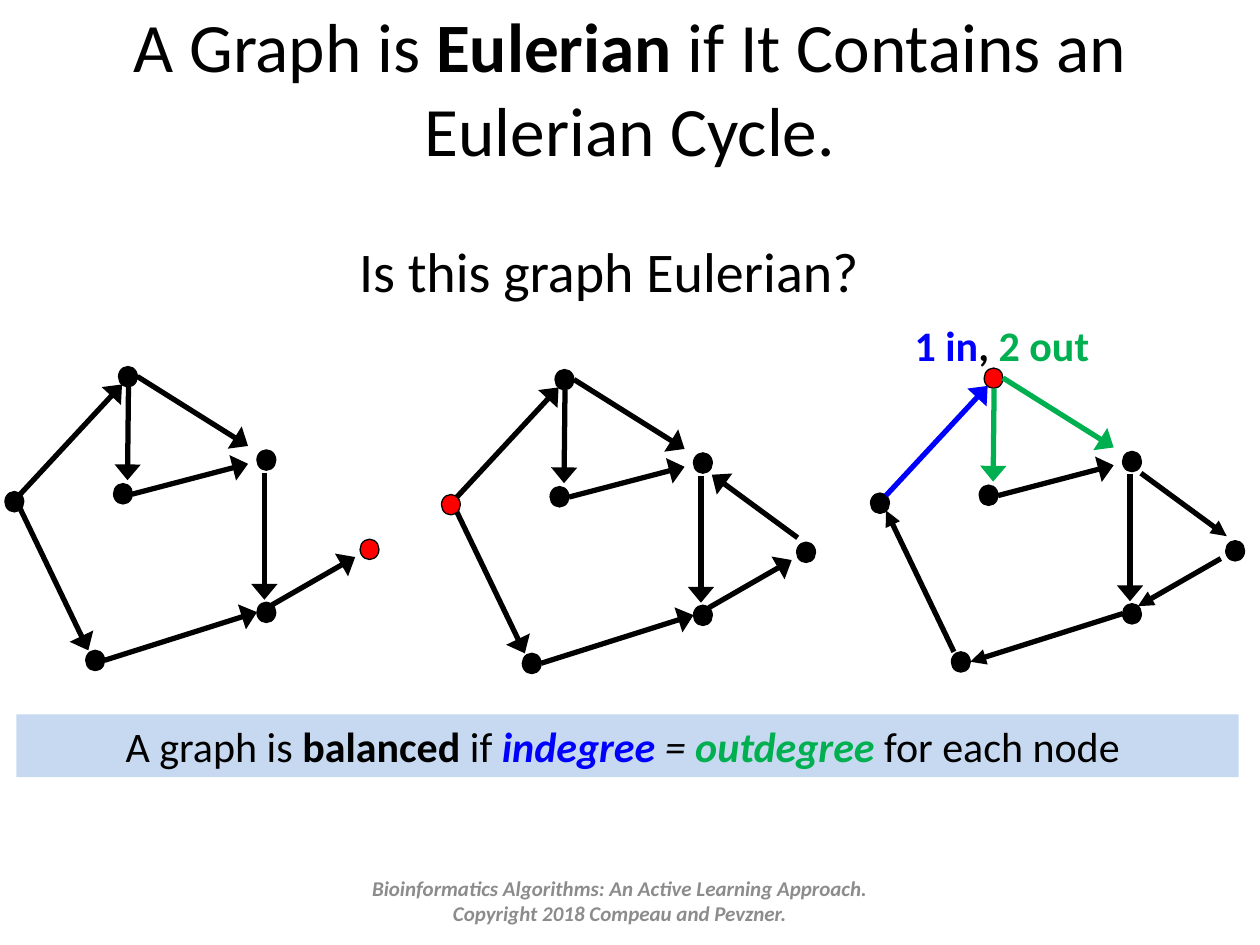
from lxml import etree
from pptx import Presentation
from pptx.dml.color import RGBColor
from pptx.enum import shapes, text
from pptx.oxml.ns import qn
from pptx.util import Cm, Pt

HUE = {"black": "000000", "red": "FF0000", "blue": "0000FF",
       "green": "00B050", "gray": "8C8C8C", "pale": "C6D9F1"}

# Each run: words, colour, style (b = bold, i = italic)
TITLE = [[("A Graph is ", "black", ""), ("Eulerian", "black", "b"),
          (" if It Contains an Eulerian Cycle.", "black", "")]]
ASK = [[("Is this graph Eulerian?", "black", "")]]
COUNT = [[("1 in", "blue", "b"), (", ", "black", "b"), ("2 out", "green", "b")]]
RULE = [[("A graph is ", "black", ""), ("balanced", "black", "b"),
         (" if ", "black", ""), ("indegree ", "blue", "bi"),
         ("= ", "black", "i"), ("outdegree", "green", "bi"),
         (" for each node ", "black", "")]]
CREDIT = [[("Bioinformatics Algorithms: An Active Learning Approach.", "gray", "bi")],
          [("Copyright 2018 Compeau and Pevzner.", "gray", "bi")]]

# The graph that all three drawings share, in cm
NODE_W, NODE_H = 0.38, 0.41
NODES = {"top": (2.39, 7.39), "right": (5.18, 9.07), "far": (7.26, 10.87),
         "low": (5.18, 12.14), "base": (1.73, 13.11), "mid": (2.29, 9.75),
         "left": (0.1, 9.91)}
EDGES = {"left-top": (0.41, 9.96, 2.46, 7.75),
         "top-right": (2.77, 7.59, 5, 8.99),
         "right-low": (5.33, 9.53, 5.33, 12.09),
         "low-far": (5.49, 12.19, 7.16, 11.23),
         "top-mid": (2.59, 7.8, 2.57, 9.68),
         "mid-right": (2.67, 9.96, 5, 9.35),
         "base-low": (2.11, 13.31, 5.18, 12.34),
         "left-base": (0.41, 10.26, 1.78, 13.11),
         "far-right": (7.28, 10.78, 5.55, 9.51)}

GRAPHS = [
    {"shift": (0, 0), "red": "far", "skip": ["far-right"]},
    {"shift": (8.8, 0.06), "red": "left"},
    {"shift": (17.45, 0.03), "red": "top",
     "flip": ["low-far", "base-low", "left-base", "far-right"],
     "tint": {"left-top": "blue", "top-right": "green", "top-mid": "green"}},
]


def rgb(name):
    return RGBColor.from_string(HUE[name])


def write(shape, paras, size, align=text.PP_ALIGN.CENTER,
          anchor=text.MSO_ANCHOR.TOP):
    frame = shape.text_frame
    frame.word_wrap = True
    frame.auto_size = text.MSO_AUTO_SIZE.NONE
    frame.vertical_anchor = anchor
    for i, runs in enumerate(paras):
        para = frame.add_paragraph() if i else frame.paragraphs[0]
        para.alignment = align
        for words, hue, style in runs:
            run = para.add_run()
            run.text = words
            font = run.font
            font.name, font.size = "Calibri", Pt(size)
            font.bold, font.italic = "b" in style, "i" in style
            font.color.rgb = rgb(hue)


def add_box(slide, spot, paras, size, **opts):
    box = slide.shapes.add_textbox(*map(Cm, spot))
    write(box, paras, size, **opts)


def add_edge(slide, ends, hue, flip):
    """Draw an arrow; a flipped one points back at its start, with a slim head."""
    line = slide.shapes.add_connector(shapes.MSO_CONNECTOR.STRAIGHT, *map(Cm, ends))
    line.line.color.rgb = rgb(hue)
    line.line.width = Pt(3)
    tip = etree.SubElement(line.line._get_or_add_ln(),
                           qn("a:headEnd" if flip else "a:tailEnd"))
    tip.set("type", "triangle")
    tip.set("w", "med" if flip else "lg")
    tip.set("len", "med")
    etree.SubElement(line._element.spPr, qn("a:effectLst"))


def add_node(slide, x, y, hue):
    node = slide.shapes.add_shape(shapes.MSO_SHAPE.OVAL,
                                  Cm(x), Cm(y), Cm(NODE_W), Cm(NODE_H))
    node.shadow.inherit = False
    node.fill.solid()
    node.fill.fore_color.rgb = rgb(hue)
    node.line.color.rgb = rgb("black")
    node.line.width = Pt(0.75)


def add_graph(slide, graph):
    dx, dy = graph["shift"]
    for name, (x, y) in NODES.items():
        add_node(slide, x + dx, y + dy, "red" if name == graph["red"] else "black")
    for name, (x1, y1, x2, y2) in EDGES.items():
        if name not in graph.get("skip", []):
            add_edge(slide, (x1 + dx, y1 + dy, x2 + dx, y2 + dy),
                     graph.get("tint", {}).get(name, "black"),
                     name in graph.get("flip", []))


def main():
    deck = Presentation()
    deck.slide_width, deck.slide_height = Cm(25.4), Cm(19.05)
    slide = deck.slides.add_slide(deck.slide_layouts[5])

    title = slide.shapes.title
    title.left, title.top, title.width, title.height = map(Cm, (1.27, 0.53, 22.86, 2.44))
    write(title, TITLE, 39.6, anchor=text.MSO_ANCHOR.MIDDLE)
    add_box(slide, (4.93, 4.65, 14.7, 1.63), ASK, 32)

    for graph in GRAPHS:
        add_graph(slide, graph)
    add_box(slide, (18.19, 6.32, 4.88, 1.27), COUNT, 24, align=text.PP_ALIGN.LEFT)

    band = slide.shapes.add_shape(shapes.MSO_SHAPE.RECTANGLE,
                                  Cm(0.33), Cm(14.4), Cm(24.64), Cm(1.27))
    band.shadow.inherit = False
    band.fill.solid()
    band.fill.fore_color.rgb = rgb("pale")
    band.line.fill.background()
    write(band, RULE, 24)

    add_box(slide, (5.51, 17.65, 13.97, 1.02), CREDIT, 12,
            anchor=text.MSO_ANCHOR.MIDDLE)
    deck.save("out.pptx")


if __name__ == "__main__":
    main()
